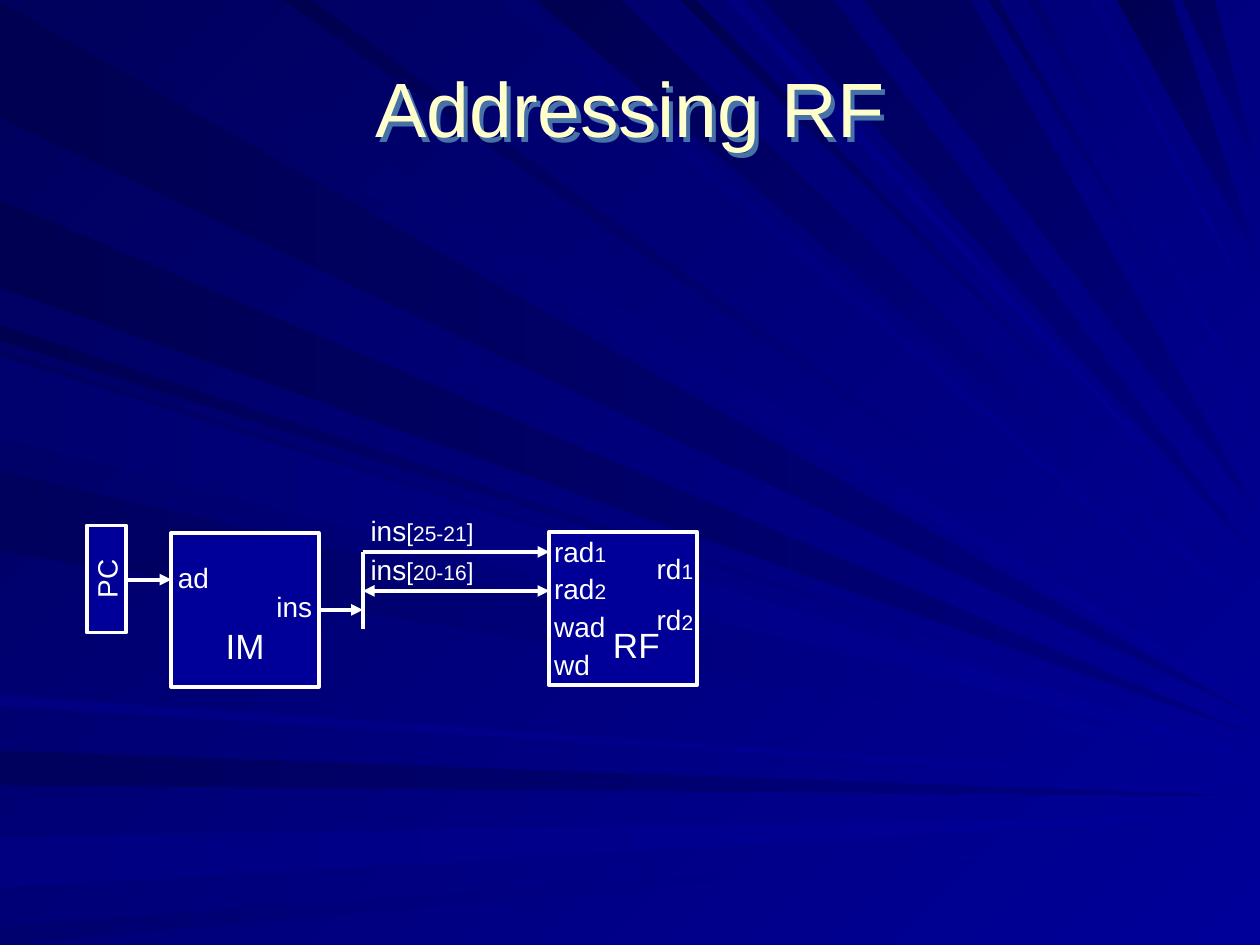
from lxml.etree import SubElement
from pptx import Presentation
from pptx.dml.color import RGBColor
from pptx.enum.shapes import MSO_CONNECTOR, MSO_SHAPE
from pptx.enum.text import MSO_ANCHOR, PP_ALIGN
from pptx.oxml.ns import qn
from pptx.util import Inches, Pt

COLORS = {
    "blue": "000099", "navy": "000080", "dusk": "00006F", "deep": "00005D", "night": "000050",
    "white": "FFFFFF", "title": "FFFFCC", "title_shadow": "4672A8",
}
FONT = "Arial"
LEFT_RAYS = [
    (0.02, 0.93, 5.7, "navy", "night"), (5.96, 6.23, 6.32, "navy", "deep"),
    (6.65, 7.04, 6.47, "blue", "navy"), (7.35, 7.5, 6.62, "blue", "dusk"),
    (2.58, 2.7, 5.89, "blue", "night"), (1.59, 2.28, 5.85, "navy", "night"),
    (2.78, 3.42, 6, "blue", "deep"), (3.74, 4.37, 6.06, "blue", "deep"),
    (5.52, 5.6, 6.22, "blue", "navy"), (2.83, 3.47, 6.03, "blue", "dusk"),
]
TOP_RAYS = [
    (0.26, 1.01, 5.63, "blue", "deep"), (3.98, 4.16, 5.18, "blue", "dusk"),
    (4.26, 4.92, 4.93, "blue", "night"), (5.4, 5.52, 4.63, "blue", "night"),
    (6.06, 6.61, 4.46, "navy", "deep"), (2.25, 2.47, 5.5, "blue", "night"),
    (5.77, 5.88, 4.54, "blue", "navy"), (6.86, 7.7, 4.1, "navy", "deep"),
    (7.85, 7.92, 3.57, "blue", "deep"), (8.15, 8.24, 3.36, "blue", "dusk"),
    (8.65, 8.72, 2.54, "blue", "navy"), (8.87, 9.3, 2.1, "navy", "night"),
    (9.39, 9.64, 1.4, "navy", "deep"),
]


def rgb(name):
    """Return the named colour."""
    return RGBColor.from_string(COLORS[name])


def shade(fill, start, end, clockwise):
    """Fill with a linear gradient of two colours."""
    fill.gradient()
    fill.gradient_angle = 360 - clockwise
    for stop, name in zip(fill.gradient_stops, (start, end)):
        stop.color.rgb = rgb(name)


def write(shape, *runs, align=PP_ALIGN.CENTER, anchor=MSO_ANCHOR.TOP, wrap=True,
          color="white", left=0.1, bottom=0.05):
    """Write (text, size) runs as the one paragraph of a shape."""
    frame = shape.text_frame
    frame.word_wrap, frame.vertical_anchor = wrap, anchor
    frame.margin_left, frame.margin_bottom = Inches(left), Inches(bottom)
    paragraph = frame.paragraphs[0]
    paragraph.alignment = align
    for text, size in runs:
        run = paragraph.add_run()
        run.text = text
        run.font.name, run.font.size = FONT, Pt(size)
        run.font.color.rgb = rgb(color)


def add_label(shapes, box, *runs, **style):
    """Add a text box with its runs."""
    label = shapes.add_textbox(*map(Inches, box))
    write(label, *runs, **style)
    return label


def add_block(shapes, box, *runs, **style):
    """Add an outlined hardware block with its name."""
    block = shapes.add_shape(MSO_SHAPE.RECTANGLE, *map(Inches, box))
    block.shadow.inherit = False
    block.fill.solid()
    block.fill.fore_color.rgb = rgb("blue")
    block.line.color.rgb, block.line.width = rgb("white"), Pt(2.25)
    write(block, *runs, **style)
    return block


def add_wire(shapes, start, end, *arrow_ends):
    """Add a straight wire with triangles at the given ends."""
    wire = shapes.add_connector(MSO_CONNECTOR.STRAIGHT, *map(Inches, (*start, *end)))
    wire.line.color.rgb, wire.line.width = rgb("white"), Pt(2.25)
    for arrow_end in arrow_ends:
        SubElement(wire.line._get_or_add_ln(), qn(f"a:{arrow_end}"), type="triangle")
    SubElement(wire._element.spPr, qn("a:effectLst"))
    return wire


def add_ray(shapes, corners, start, end, clockwise):
    """Add one ray of light through its corners."""
    points = [(Inches(x), Inches(y)) for x, y in corners]
    builder = shapes.build_freeform(*points[0])
    builder.add_line_segments(points[1:], close=True)
    ray = builder.convert_to_shape()
    ray.shadow.inherit = False
    ray.line.fill.background()
    shade(ray.fill, start, end, clockwise)


def add_backdrop(slide, box):
    """Paint the background and the rays that narrow towards its right edge."""
    left, top, width, _ = box
    shade(slide.background.fill, "blue", "deep", 225)
    shapes = slide.shapes.add_group_shape().shapes
    for near, far, tip, start, end in LEFT_RAYS:
        corners = [(left, top + near), (left + width, top + tip), (left, top + far)]
        add_ray(shapes, corners, start, end, 180)
    for near, far, tip, start, end in TOP_RAYS:
        corners = [(left + near, top), (left + width, top + tip), (left + far, top)]
        add_ray(shapes, corners, start, end, 225)


def add_counter(shapes, box):
    """Add the upright program counter."""
    counter = add_block(shapes, box, ("PC", 16), anchor=MSO_ANCHOR.MIDDLE, wrap=False)
    counter.rotation = 270
    return counter


def add_instruction_memory(shapes, box):
    """Add the instruction memory with its ports."""
    left, top, width, _ = box
    memory = add_block(shapes, box, ("IM", 20), anchor=MSO_ANCHOR.BOTTOM, bottom=0.16)
    add_label(shapes, (left - 0.27, top + 0.17, 0.89, 0.37), ("ad", 16))
    add_label(shapes, (left + width - 0.47, top + 0.4, 0.55, 0.37), ("ins", 16))
    return memory


def add_register_file(shapes, box):
    """Add the register file with its input and output ports."""
    left, top, width, _ = box
    add_block(shapes, box, ("RF", 20), anchor=MSO_ANCHOR.BOTTOM, left=0.31, bottom=0.16)
    inputs = [[("rad", 16), ("1", 12)], [("rad", 16), ("2", 12)], [("wad", 16)], [("wd", 16)]]
    for row, port in enumerate(inputs):
        add_label(shapes, (left - 0.06, top - 0.03 + 0.3 * row, 0.84, 0.37), *port,
                  align=PP_ALIGN.LEFT)
    for row, number in enumerate("12"):
        add_label(shapes, (left + width - 0.61, top + 0.11 + 0.4 * row, 0.68, 0.37),
                  ("rd", 16), (number, 12), align=PP_ALIGN.RIGHT)


def add_address_bus(shapes, box):
    """Add the bus that splits the instruction into two register addresses."""
    left, top, width, height = box
    add_wire(shapes, (left, top), (left, top + height))
    fields = [("25-21", ["tailEnd"]), ("20-16", ["headEnd", "tailEnd"])]
    for row, (bits, arrow_ends) in enumerate(fields):
        y = top + 0.31 * row
        add_wire(shapes, (left, y), (left + width, y), *arrow_ends)
        add_label(shapes, (left - 0.04, y - 0.35, 1.02, 0.37),
                  ("ins", 16), ("[", 14), (bits, 12), ("]", 14), wrap=False)


def add_title(shapes, box):
    """Add the title with its offset shadow."""
    title = add_label(shapes, box, ("Addressing RF", 44), anchor=MSO_ANCHOR.MIDDLE, color="title")
    effects = SubElement(title._element.spPr, qn("a:effectLst"))
    shadow = SubElement(effects, qn("a:outerShdw"), dist=str(Inches(0.05)), dir="2700000")
    SubElement(shadow, qn("a:srgbClr"), val=COLORS["title_shadow"])


def main():
    """Build and save the slide."""
    deck = Presentation()
    deck.slide_width, deck.slide_height = Inches(10), Inches(7.5)
    slide = deck.slides.add_slide(deck.slide_layouts[6])
    shapes = slide.shapes
    add_backdrop(slide, (0, 0, 10, 7.5))
    counter = add_counter(shapes, (0.42, 4.44, 0.85, 0.31))
    memory = add_instruction_memory(shapes, (1.36, 4.23, 1.17, 1.22))
    add_register_file(shapes, (4.36, 4.22, 1.17, 1.22))
    address_wire = add_wire(shapes, (1, 4.6), (1.36, 4.6), "tailEnd")
    address_wire.begin_connect(counter, 2)
    address_wire.begin_x, address_wire.begin_y = Inches(1), Inches(4.6)
    add_wire(shapes, (2.53, 4.84), (2.88, 4.84), "tailEnd").begin_connect(memory, 3)
    add_address_bus(shapes, (2.88, 4.38, 1.48, 0.61))
    add_title(shapes, (0.5, 0.32, 9, 1.06))
    deck.save("out.pptx")


if __name__ == "__main__":
    main()
